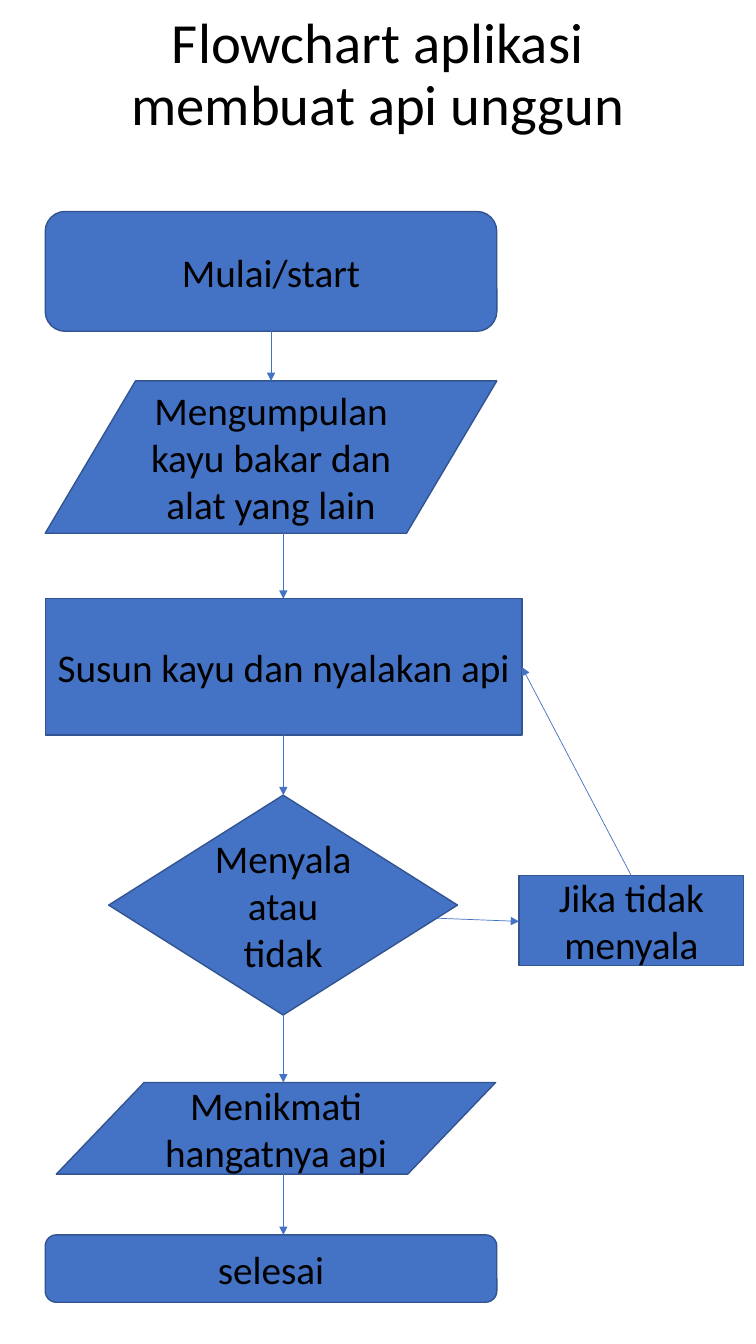
from lxml import etree
from pptx import Presentation
from pptx.dml.color import RGBColor
from pptx.enum.shapes import MSO_CONNECTOR, MSO_SHAPE as SHAPE
from pptx.enum.text import MSO_ANCHOR as ANCHOR, PP_ALIGN
from pptx.oxml.ns import qn
from pptx.util import Cm, Pt

BLUE, EDGE, BLACK = "4472C4", "325491", "000000"
LEFT, WIDE, AXIS = 1.14, 11.38, 7.14

STEPS = [
    (SHAPE.FLOWCHART_ALTERNATE_PROCESS, LEFT, 5.33, WIDE, 3.02, "Mulai/start"),
    (SHAPE.FLOWCHART_DATA, LEFT, 9.6, WIDE, 3.84,
     "Mengumpulan kayu bakar dan alat yang lain"),
    (SHAPE.FLOWCHART_PROCESS, LEFT, 15.09, 12.01, 3.43,
     "Susun kayu dan nyalakan api"),
    (SHAPE.FLOWCHART_DECISION, 2.74, 20.04, 8.79, 5.54, "Menyala atau tidak"),
    (SHAPE.FLOWCHART_PROCESS, 13.08, 22.07, 5.66, 2.26, "Jika tidak menyala"),
    (SHAPE.FLOWCHART_DATA, 1.42, 27.28, 11.07, 2.31, "Menikmati hangatnya api"),
    (SHAPE.FLOWCHART_ALTERNATE_PROCESS, LEFT, 31.12, WIDE, 1.7, "selesai"),
]

ARROWS = [
    (6.83, 8.35, 6.83, 9.6),
    (AXIS, 13.44, AXIS, 15.09),
    (AXIS, 18.52, AXIS, 20.04),
    (11.01, 23.14, 13.08, 23.22),
    (15.91, 22.07, 13.15, 16.81),
    (AXIS, 25.58, AXIS, 27.28),
    (AXIS, 29.59, AXIS, 31.12),
]


def rgb(color):
    """Turn a hex string into a colour."""
    return RGBColor.from_string(color)


def write(sp, text, size=28, color=BLACK, font="Calibri",
          anchor=ANCHOR.MIDDLE, spacing=None):
    """Fill a shape with centred, formatted text."""
    tf = sp.text_frame
    tf.word_wrap = True
    tf.vertical_anchor = anchor
    p = tf.paragraphs[0]
    p.text = text
    p.alignment = PP_ALIGN.CENTER
    p.line_spacing = spacing
    for r in p.runs:
        r.font.size = Pt(size)
        r.font.name = font
        r.font.color.rgb = rgb(color)


def add_title(s, text):
    """Add the heading above the flowchart."""
    sp = s.shapes.add_textbox(Cm(1.42), Cm(1.02), Cm(16.21), Cm(2.57))
    write(sp, text, size=40.5, anchor=ANCHOR.BOTTOM, spacing=0.9)


def add_step(s, kind, left, top, width, height, text):
    """Add one labelled flowchart step."""
    sp = s.shapes.add_shape(kind, Cm(left), Cm(top), Cm(width), Cm(height))
    sp.shadow.inherit = False
    sp.fill.solid()
    sp.fill.fore_color.rgb = rgb(BLUE)
    sp.line.color.rgb = rgb(EDGE)
    sp.line.width = Pt(1)
    write(sp, text)


def add_arrow(s, x1, y1, x2, y2):
    """Add a thin straight arrow between two points."""
    cxn = s.shapes.add_connector(
        MSO_CONNECTOR.STRAIGHT, Cm(x1), Cm(y1), Cm(x2), Cm(y2))
    cxn.line.color.rgb = rgb(BLUE)
    cxn.line.width = Pt(0.5)
    ln = cxn.line._get_or_add_ln()
    etree.SubElement(ln, qn("a:tailEnd"), type="triangle")
    etree.SubElement(cxn._element.spPr, qn("a:effectLst"))


def main():
    """Build the campfire flowchart slide."""
    prs = Presentation()
    prs.slide_width, prs.slide_height = Cm(19.05), Cm(33.87)
    s = prs.slides.add_slide(prs.slide_layouts[6])
    add_title(s, "Flowchart aplikasi\vmembuat api unggun")
    for step in STEPS:
        add_step(s, *step)
    for arrow in ARROWS:
        add_arrow(s, *arrow)
    prs.save("out.pptx")


main()
